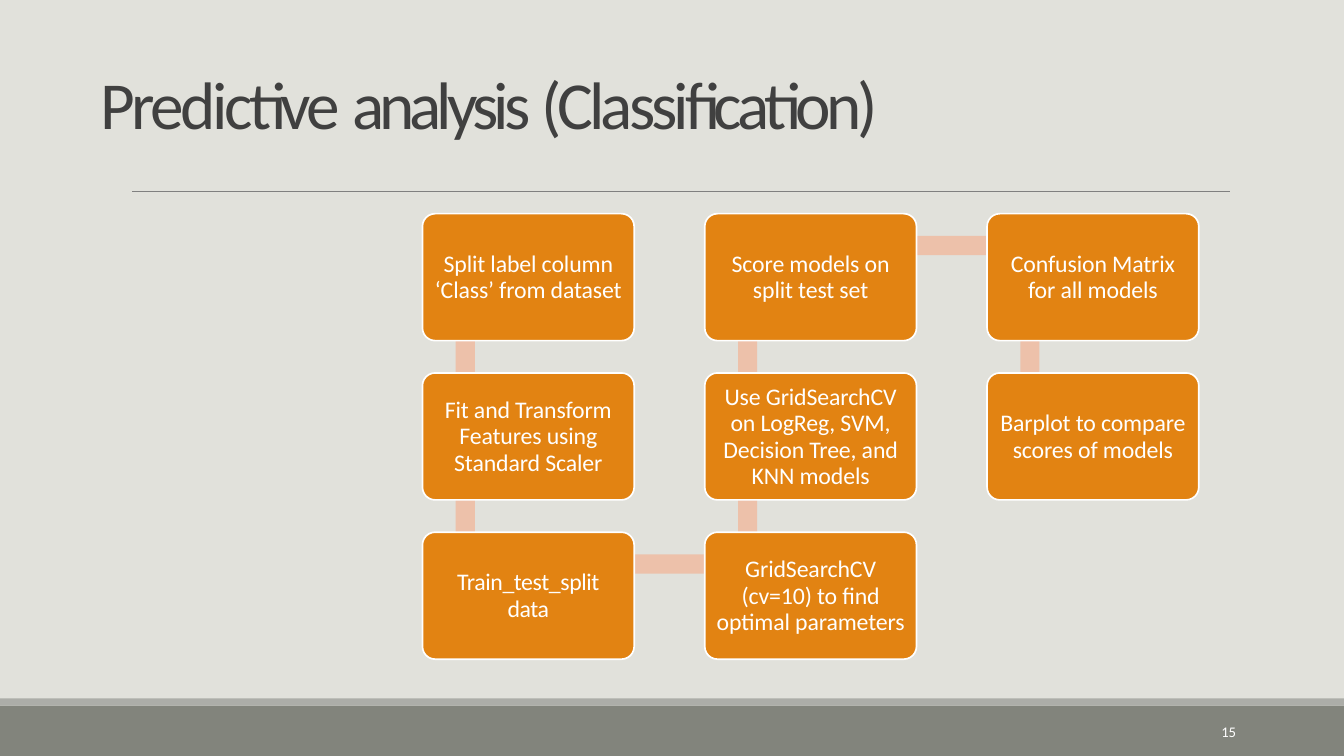
from dataclasses import dataclass
from itertools import pairwise

from lxml.etree import SubElement
from pptx import Presentation
from pptx.dml.color import RGBColor
from pptx.enum.shapes import MSO_CONNECTOR as Connector, MSO_SHAPE as Shape
from pptx.enum.text import MSO_ANCHOR as Anchor, PP_ALIGN as Align
from pptx.oxml.ns import qn
from pptx.util import Inches, Pt

COLORS = {
    "background": "E1E1DB",
    "footer": "82847C",
    "footer_edge": "ACADA8",
    "rule": "808080",
    "title": "404040",
    "box": "E28312",
    "link": "EDC1AA",
    "white": "FFFFFF",
}

GRID_LEFT, GRID_TOP = 4.19, 2.12
COL_STEP, ROW_STEP = 2.8, 1.58
BOX_W, BOX_H = 2.1, 1.26
LINK_THICKNESS = 0.19


@dataclass(frozen=True)
class Step:
    col: int
    row: int
    lines: tuple[str, ...]
    spacing: float = -0.1

    @property
    def left(self) -> float:
        return GRID_LEFT + self.col * COL_STEP

    @property
    def top(self) -> float:
        return GRID_TOP + self.row * ROW_STEP


STEPS = [
    Step(0, 0, ("Split label column", "‘Class’ from dataset")),
    Step(0, 1, ("Fit and Transform", "Features using", "Standard Scaler")),
    Step(0, 2, ("Train_test_split", "data"), -0.3),
    Step(1, 2, ("GridSearchCV", "(cv=10) to find", "optimal parameters")),
    Step(1, 1, ("Use GridSearchCV", "on LogReg, SVM,", "Decision Tree, and", "KNN models")),
    Step(1, 0, ("Score models on", "split test set")),
    Step(2, 0, ("Confusion Matrix", "for all models")),
    Step(2, 1, ("Barplot to compare", "scores of models")),
]


def rgb(name: str) -> RGBColor:
    return RGBColor.from_string(COLORS[name])


def add_run(p, text: str, *, size: float, color: str, spacing: float = 0) -> None:
    """Append a run; spacing is the letter spacing in points."""
    r = p.add_run()
    r.text = text
    r.font.name = "Calibri"
    r.font.size = Pt(size)
    r.font.color.rgb = rgb(color)
    r._r.get_or_add_rPr().set("spc", str(round(spacing * 100)))


def prepare_text(sp, *, anchor: Anchor, align: Align):
    """Clear the margins of a shape and return its first paragraph."""
    tf = sp.text_frame
    tf.word_wrap = True
    tf.margin_left = tf.margin_right = tf.margin_top = tf.margin_bottom = 0
    tf.vertical_anchor = anchor
    p = tf.paragraphs[0]
    p.alignment = align
    return p


def add_block(s, kind: Shape, left: float, top: float, width: float, height: float, color: str):
    sp = s.shapes.add_shape(kind, Inches(left), Inches(top), Inches(width), Inches(height))
    sp.shadow.inherit = False
    sp.fill.solid()
    sp.fill.fore_color.rgb = rgb(color)
    sp.line.fill.background()
    return sp


def add_rule(s) -> None:
    sp = s.shapes.add_connector(
        Connector.STRAIGHT, Inches(1.31), Inches(1.9), Inches(12.2), Inches(1.9))
    sp.line.color.rgb = rgb("rule")
    sp.line.width = Pt(0.5)
    SubElement(sp._element.spPr, qn("a:effectLst"))


def add_title(s) -> None:
    sp = s.shapes.add_textbox(Inches(1), Inches(0.59), Inches(8.66), Inches(0.83))
    p = prepare_text(sp, anchor=Anchor.BOTTOM, align=Align.LEFT)
    for text, spacing in (("Predictive ", -2.5), ("analysis ", -3.5), ("(Classification)", -2.8)):
        add_run(p, text, size=48, color="title", spacing=spacing)


def add_slide_number(s) -> None:
    sp = s.shapes.add_textbox(Inches(10.83), Inches(7.06), Inches(1.43), Inches(0.4))
    p = prepare_text(sp, anchor=Anchor.MIDDLE, align=Align.RIGHT)
    add_run(p, "15", size=10.5, color="white")


def add_link(s, a: Step, b: Step) -> None:
    """Draw the bar that runs behind two neighbouring steps."""
    left, top = min(a.left, b.left), min(a.top, b.top)
    if a.col == b.col:
        add_block(s, Shape.RECTANGLE, left + 0.33, top + 0.32, LINK_THICKNESS, 1.57, "link")
    else:
        add_block(s, Shape.RECTANGLE, left + 0.43, top + 0.22, 2.79, LINK_THICKNESS, "link")


def add_step(s, step: Step) -> None:
    sp = add_block(s, Shape.ROUNDED_RECTANGLE, step.left, step.top, BOX_W, BOX_H, "box")
    sp.adjustments[0] = 0.1
    sp.line.color.rgb = rgb("white")
    sp.line.width = Pt(1.2)
    p = prepare_text(sp, anchor=Anchor.MIDDLE, align=Align.CENTER)
    p.line_spacing = Pt(19)
    for i, line in enumerate(step.lines):
        if i:
            p.add_line_break()
        add_run(p, line, size=17, color="white", spacing=step.spacing)


def main() -> None:
    prs = Presentation()
    prs.slide_width, prs.slide_height = Inches(13.33), Inches(7.5)
    s = prs.slides.add_slide(prs.slide_layouts[6])
    s.background.fill.solid()
    s.background.fill.fore_color.rgb = rgb("background")

    add_block(s, Shape.RECTANGLE, 0, 7, 13.33, 0.5, "footer")
    add_block(s, Shape.RECTANGLE, 0, 6.93, 13.33, 0.07, "footer_edge")
    add_rule(s)
    add_title(s)
    add_slide_number(s)
    for a, b in pairwise(STEPS):
        add_link(s, a, b)
    for step in STEPS:
        add_step(s, step)

    prs.save("out.pptx")


if __name__ == "__main__":
    main()
